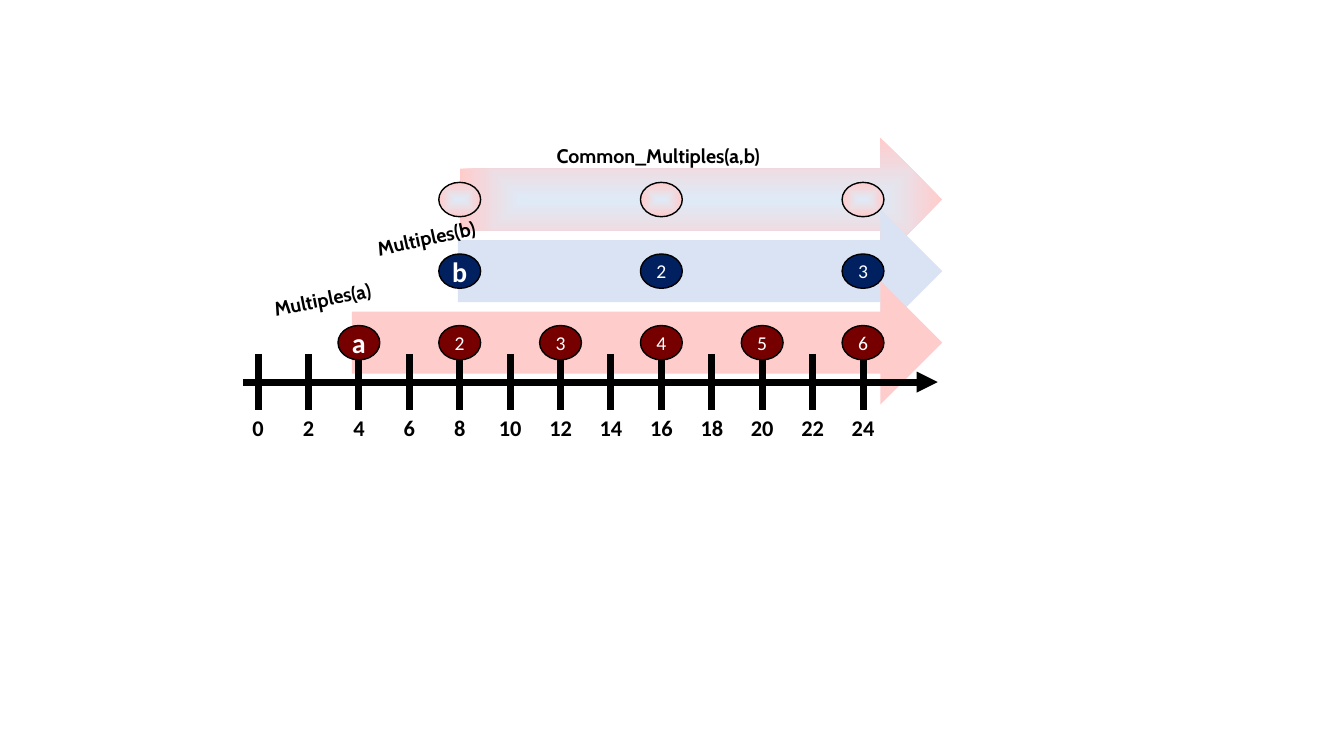
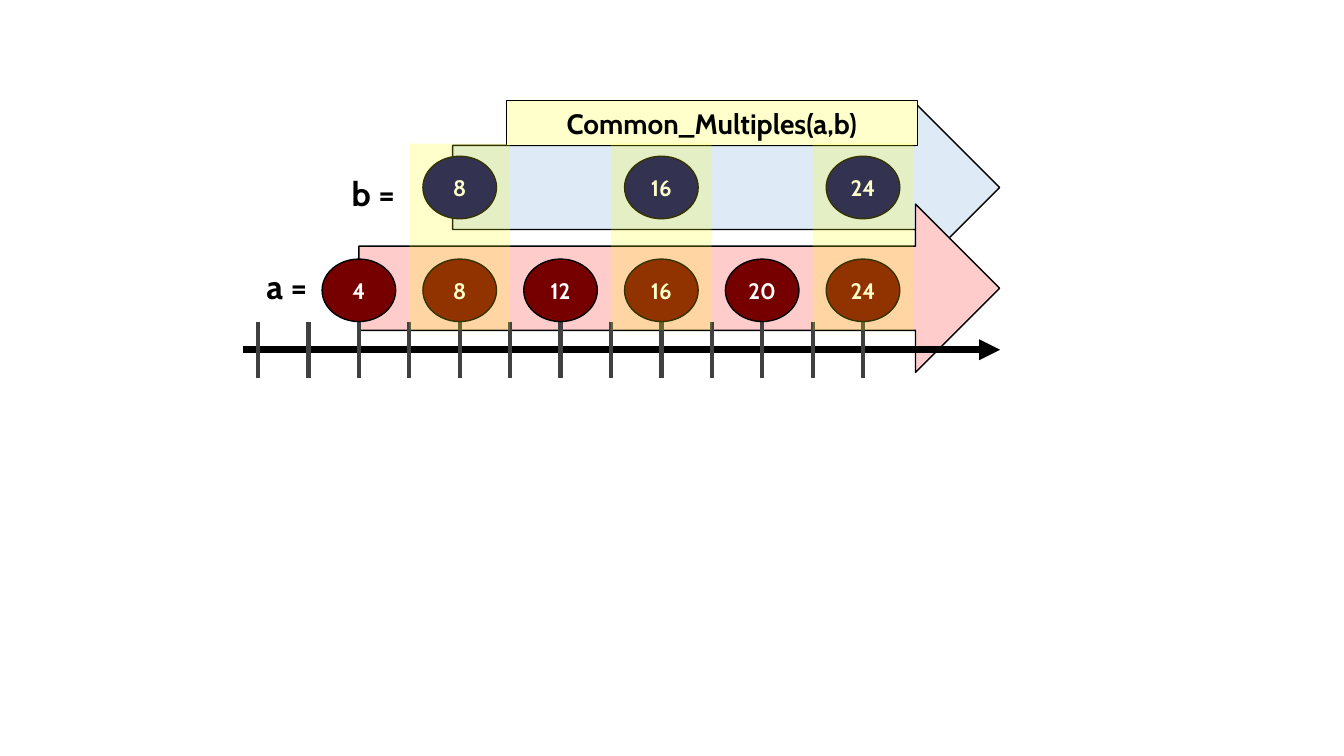
from dataclasses import dataclass

from pptx import Presentation
from pptx.dml.color import RGBColor
from pptx.enum.shapes import MSO_CONNECTOR, MSO_SHAPE
from pptx.enum.text import MSO_ANCHOR as ANCHOR, PP_ALIGN as ALIGN
from pptx.oxml import parse_xml
from pptx.oxml.ns import nsdecls, qn
from pptx.util import Inches, Pt


@dataclass(frozen=True)
class Theme:
    """Colours and type styles shared by both slides."""
    black: str = "000000"
    white: str = "FFFFFF"
    tick: str = "404040"
    red: str = "760000"
    pink: str = "FFCCCC"
    navy: str = "002060"
    indigo: str = "000066"
    lavender: str = "DAE3F3"
    sky: str = "DEEBF7"
    cream: str = "FFFFCC"
    yellow: str = "FFFF00"
    blend: tuple = ("DEEBF7", "FFCCCC")


THEME = Theme()


def type_style(name, size, bold=True):
    """Return font attributes as a dict."""
    return {"name": name, "size": Pt(size), "bold": bold}


TYPE = {
    "number": type_style("Calibri", 16),
    "letter": type_style("Calibri", 20),
    "count": type_style("Calibri", 14, False),
    "caption": type_style("Cabin", 14),
    "value": type_style("Cabin", 16),
    "heading": type_style("Cabin", 20),
    "equation": type_style("Cabin", 24),
}


@dataclass(frozen=True)
class Grid:
    """Columns are number-line units, rows are lanes; row 0 is a lane centre."""
    left: float
    top: float
    column: float
    row: float

    def point(self, col, row):
        """Return the slide position of a grid point."""
        return (Inches(self.left + col * self.column),
                Inches(self.top + row * self.row))

    def centred(self, col, row, cols, rows):
        """Return the box of the given grid size around a grid point."""
        return (*self.point(col - cols / 2, row - rows / 2),
                Inches(cols * self.column), Inches(rows * self.row))


def blend_fill(shape, inner, outer):
    """Fill a shape with a gradient that spreads from its centre."""
    shape.fill.gradient()
    for stop, colour, position in zip(shape.fill.gradient_stops, (inner, outer), (0, 1)):
        stop.color.rgb = RGBColor.from_string(colour)
        stop.position = position
    gradient = shape._element.spPr.find(qn("a:gradFill"))
    direction = gradient.find(qn("a:lin"))
    gradient.replace(direction, parse_xml(
        f'<a:path {nsdecls("a")} path="shape">'
        '<a:fillToRect l="50000" t="50000" r="50000" b="50000"/></a:path>'))


def add_part(slide, kind, box, fill, line=None, alpha=None):
    """Add a preset shape with a plain, blended or translucent fill."""
    part = slide.shapes.add_shape(kind, *box)
    part.shadow.inherit = False
    if isinstance(fill, tuple):
        blend_fill(part, *fill)
    else:
        part.fill.solid()
        part.fill.fore_color.rgb = RGBColor.from_string(fill)
    if alpha:
        colour = part._element.spPr.find(qn("a:solidFill"))[0]
        colour.append(parse_xml(f'<a:alpha {nsdecls("a")} val="{alpha * 1000}"/>'))
    if line:
        part.line.color.rgb = RGBColor.from_string(THEME.black)
        part.line.width = Pt(line)
    else:
        part.line.fill.background()
    return part


def write(part, words, style, colour=THEME.black, align=ALIGN.CENTER, inset=0):
    """Write one line of text into a shape or text box."""
    frame_format = {"word_wrap": True, "vertical_anchor": ANCHOR.MIDDLE,
                    "margin_left": Inches(inset), "margin_right": Inches(inset),
                    "margin_top": 0, "margin_bottom": 0}
    for name, value in frame_format.items():
        setattr(part.text_frame, name, value)
    paragraph = part.text_frame.paragraphs[0]
    paragraph.alignment = align
    run = paragraph.add_run()
    run.text = words
    for name, value in TYPE[style].items():
        setattr(run.font, name, value)
    run.font.color.rgb = RGBColor.from_string(colour)


def add_label(slide, box, words, style, align=ALIGN.CENTER, turn=0):
    """Add a free-standing, optionally turned, label."""
    label = slide.shapes.add_textbox(*box)
    label.rotation = turn
    write(label, words, style, align=align, inset=0.1)


def add_line(slide, start, end, colour, width, arrow=False):
    """Add a straight line, with an arrowhead if asked."""
    line = slide.shapes.add_connector(MSO_CONNECTOR.STRAIGHT, *start, *end)
    line.line.color.rgb = RGBColor.from_string(colour)
    line.line.width = Pt(width)
    if arrow:
        line.line._get_or_add_ln().append(
            parse_xml(f'<a:tailEnd {nsdecls("a")} type="triangle"/>'))
    line._element.spPr.append(parse_xml(f'<a:effectLst {nsdecls("a")}/>'))


def add_lane(slide, grid, row, start, end, rows, fill, line=None):
    """Add the broad arrow of one series of multiples."""
    box = grid.centred((start + end) / 2, row, end - start, rows)
    add_part(slide, MSO_SHAPE.RIGHT_ARROW, box, fill, line)


def add_number_line(slide, grid, row, end, tick_rows, tick_colour, tick_width):
    """Add the axis and a tick at every even number up to 24."""
    add_line(slide, grid.point(-0.6, row), grid.point(end, row), THEME.black, 5, True)
    for number in EVENS:
        add_line(slide, grid.point(number, row - tick_rows / 2),
                 grid.point(number, row + tick_rows / 2), tick_colour, tick_width)


def add_dots(slide, grid, row, size, fill, step, texts):
    """Add a dot at each multiple of step, with (words, style) in each."""
    for index, text in enumerate(texts, 1):
        dot = add_part(slide, MSO_SHAPE.OVAL,
                       grid.centred(index * step, row, *size), fill, 1)
        if text:
            write(dot, *text, THEME.white)


def counted(letter, total):
    """Name the first dot by its letter and count the rest."""
    return [(letter, "letter")] + [(str(n), "count") for n in range(2, total + 1)]


def multiples(step):
    """List the multiples of step up to 24 as dot texts."""
    return [(str(n), "value") for n in range(step, 25, step)]


def draw_counted_multiples(slide, grid):
    """Draw three lanes that count the multiples of a, b and both."""
    lanes = [(8, THEME.blend), (7.92, THEME.lavender), (3.72, THEME.pink)]
    for row, (start, fill) in enumerate(lanes):
        add_lane(slide, grid, row, start, 27.14, 1.73, fill)
    add_number_line(slide, grid, 2.55, 26.96, 0.79, THEME.black, 5)
    for number in EVENS:
        add_label(slide, grid.centred(number, 3.18, 2.72, 0.52), str(number), "number")
    dots = [(THEME.blend, 8, [None] * 3), (THEME.navy, 8, counted("b", 3)),
            (THEME.red, 4, counted("a", 6))]
    for row, (fill, step, texts) in enumerate(dots):
        add_dots(slide, grid, row, (1.66, 0.48), fill, step, texts)
    captions = [("Common_Multiples(a,b)", 15.88, -0.62, 13.84, ALIGN.CENTER, 0),
                ("Multiples(b)", 7.26, 0.49, 5.96, ALIGN.LEFT, -12.2),
                ("Multiples(a)", 3.18, 1.35, 5.96, ALIGN.LEFT, -11.3)]
    for words, col, row, cols, align, turn in captions:
        add_label(slide, grid.centred(col, row, cols, 0.48), words, "caption", align, turn)


def draw_matched_multiples(slide, grid):
    """Draw two lanes of values with bands over the common multiples."""
    add_lane(slide, grid, 0, 7.72, 29.42, 1.67, THEME.sky, 1)
    add_lane(slide, grid, 1, 4, 29.42, 1.67, THEME.pink, 1)
    add_number_line(slide, grid, 1.61, 29.44, 0.56, THEME.tick, 3)
    heading = add_part(slide, MSO_SHAPE.RECTANGLE,
                       grid.centred(18, -0.64, 16.32, 0.44), THEME.cream, 0.75)
    write(heading, "Common_Multiples(a,b)", "heading")
    dot_size = (2.92, 0.62)
    add_dots(slide, grid, 1.02, dot_size, THEME.red, 4, multiples(4))
    add_dots(slide, grid, 0, dot_size, THEME.indigo, 8, multiples(8))
    for common in range(8, 25, 8):
        add_part(slide, MSO_SHAPE.RECTANGLE, grid.centred(common, 0.49, 4, 1.85),
                 THEME.yellow, alpha=20)
    for words, col, row in [("a = ", 0.6, 0.98), ("b = ", 4.08, 0.06)]:
        add_label(slide, grid.centred(col, row, 4.08, 0.5), words, "equation", ALIGN.RIGHT)


EVENS = range(0, 25, 2)
deck = Presentation()
deck.slide_width, deck.slide_height = Inches(13.33), Inches(7.5)
for draw, grid in [(draw_counted_multiples, Grid(2.56, 1.98, 0.25, 0.71)),
                   (draw_matched_multiples, Grid(2.56, 1.86, 0.25, 1))]:
    draw(deck.slides.add_slide(deck.slide_layouts[6]), grid)
deck.save("out.pptx")
